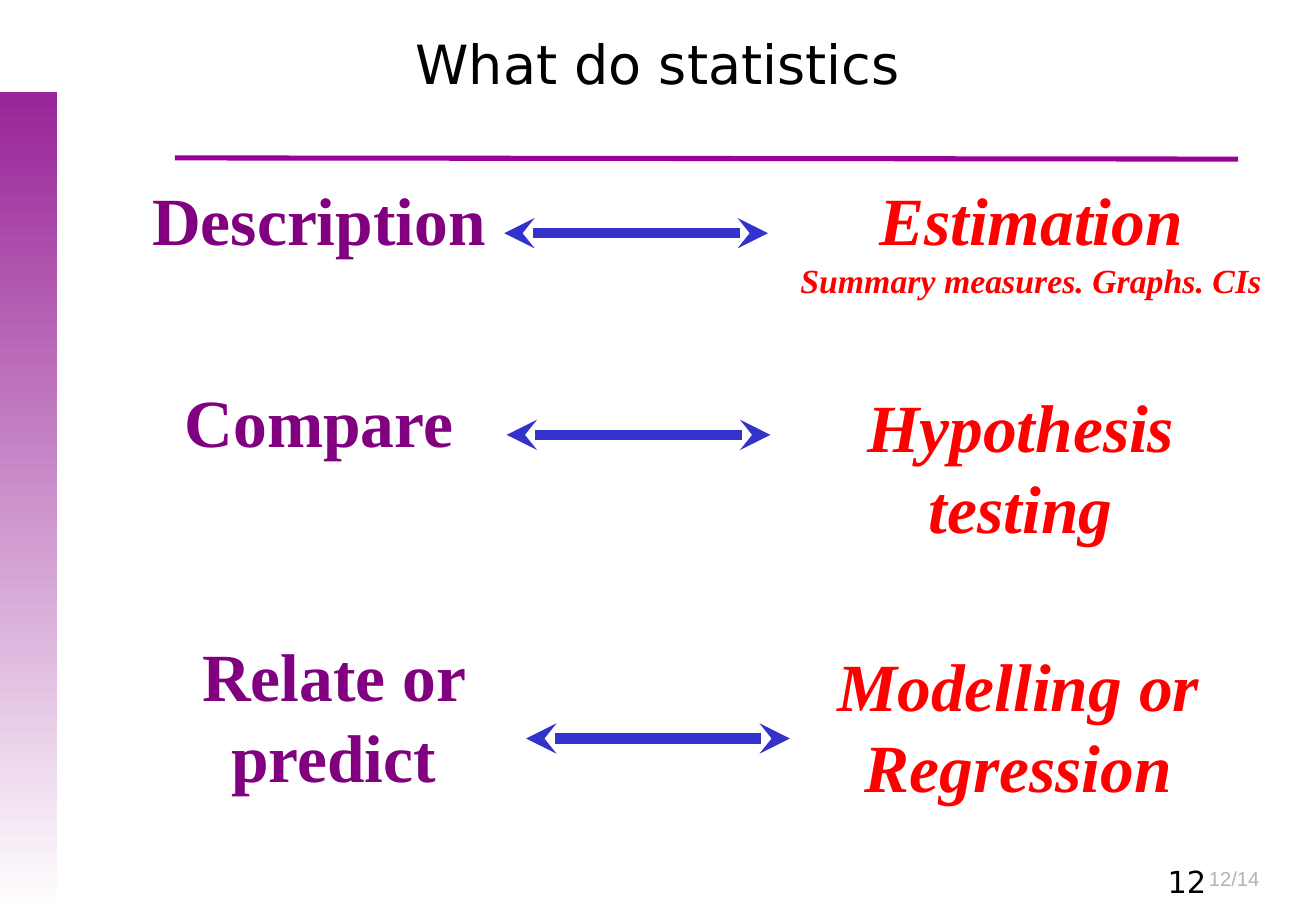
"""Build the slide that pairs the aims of statistics with their methods."""
from lxml import etree
from pptx import Presentation
from pptx.dml.color import RGBColor
from pptx.enum.shapes import MSO_CONNECTOR, MSO_SHAPE
from pptx.enum.text import MSO_ANCHOR, PP_ALIGN
from pptx.oxml.ns import qn
from pptx.util import Inches, Pt

STRAIGHT = MSO_CONNECTOR.STRAIGHT
RECTANGLE = MSO_SHAPE.RECTANGLE
MIDDLE, TOP = MSO_ANCHOR.MIDDLE, MSO_ANCHOR.TOP
CENTER, LEFT = PP_ALIGN.CENTER, PP_ALIGN.LEFT

COLORS = {
    "rule": "990099", "band": "992598", "white": "FFFFFF", "black": "000000",
    "aim": "800080", "method": "FF0000", "arrow": "3333CC", "pages": "B3B3B3",
}
SERIF = "Times New Roman"


def write(shape, box, lines, font, color, align=CENTER, anchor=TOP,
          bold=False, italic=False, inset=0.1):
    """Place a text shape and fill it with (text, size) lines."""
    shape.left, shape.top, shape.width, shape.height = map(Inches, box)
    frame = shape.text_frame
    frame.word_wrap = True
    frame.vertical_anchor = anchor
    frame.margin_left = frame.margin_right = Inches(inset)
    for index, (text, size) in enumerate(lines):
        paragraph = frame.add_paragraph() if index else frame.paragraphs[0]
        paragraph.alignment = align
        run = paragraph.add_run()
        run.text = text
        run.font.name = font
        run.font.size = Pt(size)
        run.font.bold = bold
        run.font.italic = italic
        run.font.color.rgb = RGBColor.from_string(COLORS[color])


def draw_line(start, end, color, width):
    """Draw a straight line without a shadow."""
    line = slide.shapes.add_connector(STRAIGHT, *map(Inches, start + end))
    line.line.color.rgb = RGBColor.from_string(COLORS[color])
    line.line.width = Pt(width)
    etree.SubElement(line._element.spPr, qn("a:effectLst"))
    return line


prs = Presentation()
prs.slide_width, prs.slide_height = Inches(10.83), Inches(7.5)
slide = prs.slides.add_slide(prs.slide_layouts[5])

draw_line((1.44, 1.3), (10.19, 1.31), "rule", 3)

side_band = slide.shapes.add_shape(
    RECTANGLE, Inches(0), Inches(0.76), Inches(0.47), Inches(6.74))
side_band.shadow.inherit = False
side_band.line.fill.background()
side_band.fill.gradient()
side_band.fill.gradient_angle = 270
for stop, color in zip(side_band.fill.gradient_stops, ("band", "white")):
    stop.color.rgb = RGBColor.from_string(COLORS[color])

write(slide.shapes.title, (1.66, 0.28, 7.51, 0.47), [("What do statistics", 32)],
      "DejaVu Sans", "black", anchor=MIDDLE)

page_labels = [
    ((9.85, 7.08, 0.95, 0.4), "12/14", 12, "Arial", "pages"),
    ((9.51, 7.06, 1.16, 0.31), "12", 18, "DejaVu Sans", "black"),
]
for box, text, size, font, color in page_labels:
    write(slide.shapes.add_textbox(0, 0, 0, 0), box, [(text, size)], font, color, LEFT)

pairs = [
    ((0.54, 1.42, 4.17, 0.77), "Description", (4.15, 1.92),
     (6.14, 1.42, 4.69, 1.11),
     [("Estimation", 40), ("Summary measures. Graphs. CIs", 20)]),
    ((0.54, 3.08, 4.17, 0.77), "Compare", (4.17, 3.58),
     (6.44, 3.12, 3.92, 1.45), [("Hypothesis testing", 40)]),
    ((0.66, 5.17, 4.17, 1.45), "Relate or predict", (4.33, 6.08),
     (6.42, 5.25, 3.92, 1.45), [("Modelling or Regression", 40)]),
]
for aim_box, aim, (arrow_x, arrow_y), method_box, method in pairs:
    write(slide.shapes.add_textbox(0, 0, 0, 0), aim_box, [(aim, 40)], SERIF, "aim",
          bold=True, inset=0.15)
    write(slide.shapes.add_textbox(0, 0, 0, 0), method_box, method, SERIF, "method",
          bold=True, italic=True, inset=0.15)
    arrow = draw_line((arrow_x, arrow_y), (arrow_x + 2.17, arrow_y), "arrow", 6)
    for end in ("a:headEnd", "a:tailEnd"):
        etree.SubElement(arrow.line._get_or_add_ln(), qn(end), type="stealth")

prs.save("out.pptx")
